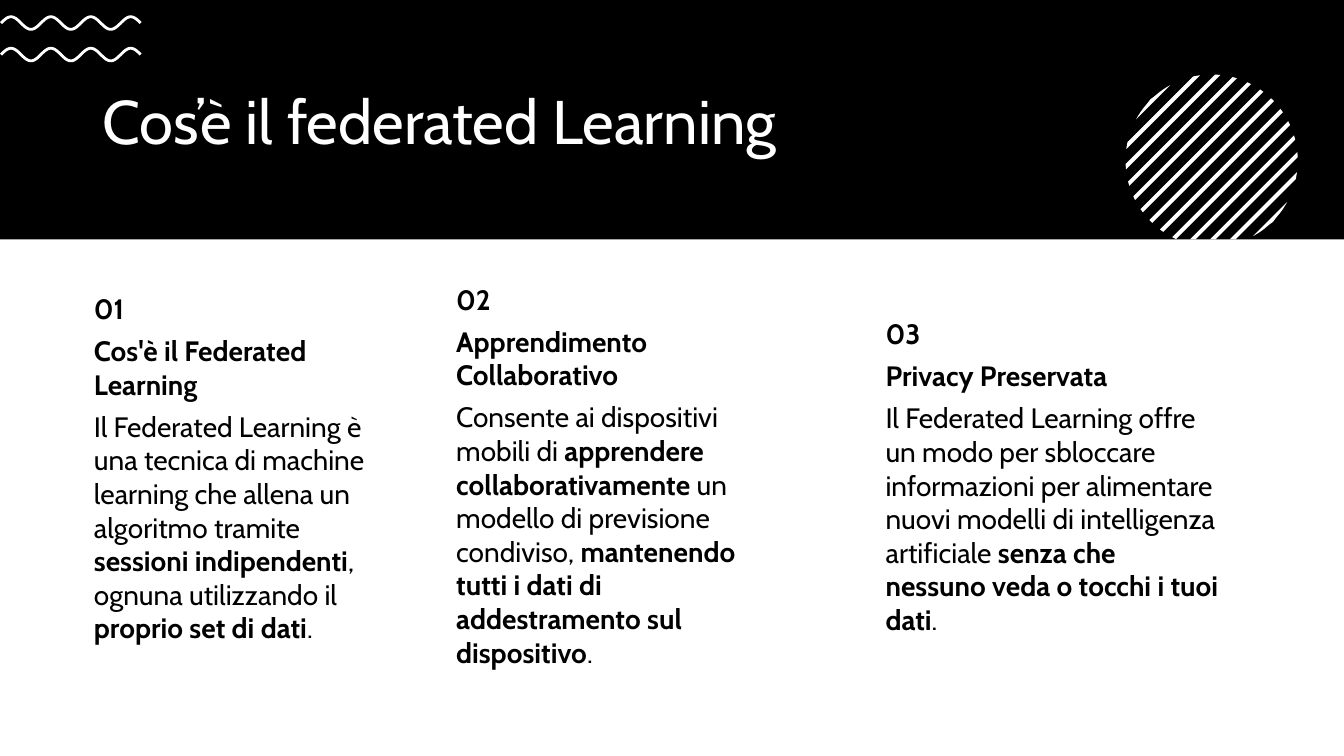
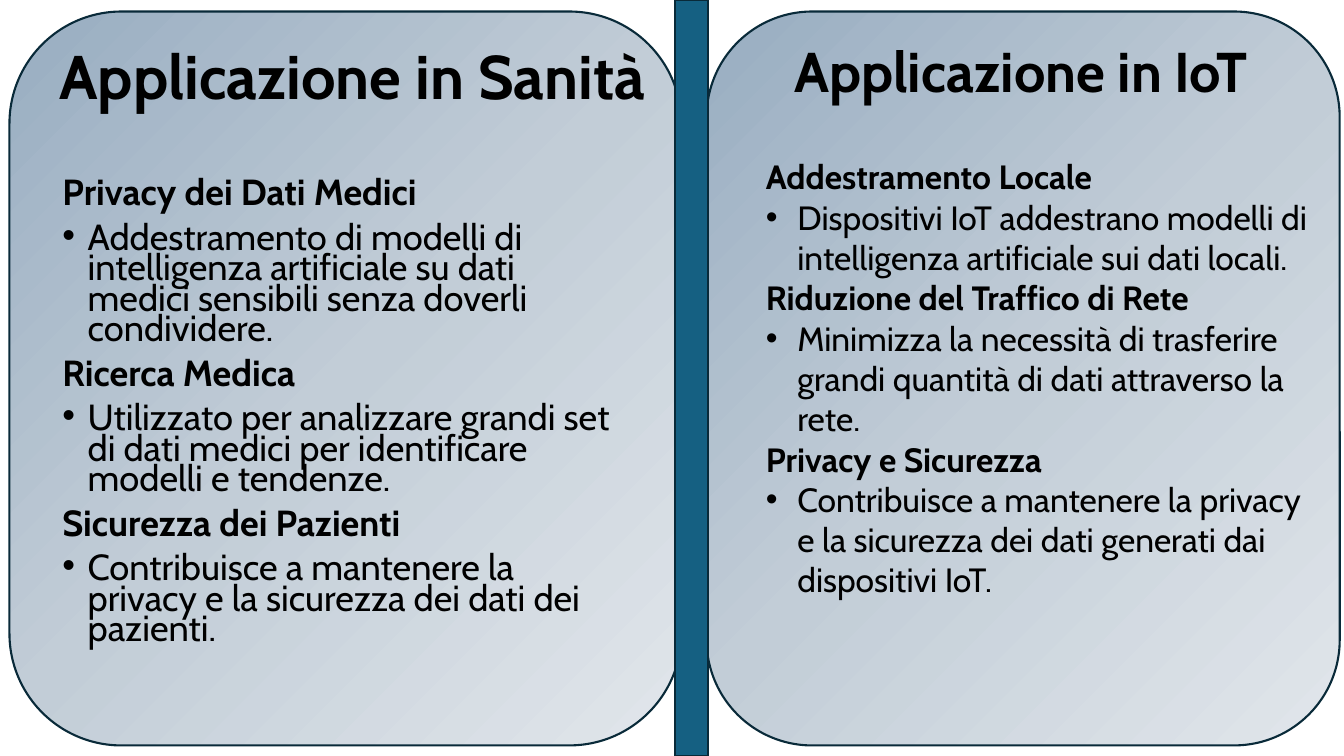
"""Build two slides on federated learning and its applications."""
import math

from lxml import etree
from pptx import Presentation
from pptx.dml.color import RGBColor
from pptx.enum.shapes import MSO_SHAPE
from pptx.enum.text import MSO_ANCHOR
from pptx.oxml import parse_xml
from pptx.oxml.ns import nsdecls, qn
from pptx.util import Emu, Pt

RECT, ROUND = MSO_SHAPE.RECTANGLE, MSO_SHAPE.ROUNDED_RECTANGLE
TOP, MIDDLE = MSO_ANCHOR.TOP, MSO_ANCHOR.MIDDLE

PX = 9525
WIDTH, HEIGHT = 1280, 720
BAND_H = 228
FONT = "Cabin"
BLACK = RGBColor(0x00, 0x00, 0x00)
WHITE = RGBColor(0xFF, 0xFF, 0xFF)
TEAL = RGBColor(0x15, 0x60, 0x82)
OUTLINE = RGBColor(0x09, 0x2A, 0x39)
PANEL_STOPS = (
    (0, RGBColor(0x98, 0xAD, 0xC1)),
    (50, RGBColor(0xC2, 0xCD, 0xD7)),
    (100, RGBColor(0xE1, 0xE6, 0xEB)),
)

COLUMNS = (
    ((80, 273, 307, 372), "01", "Cos'è il Federated Learning", (
        ("Il Federated Learning è una tecnica di machine learning che allena un algoritmo tramite ", False),
        ("sessioni indipendenti", True),
        (", ognuna utilizzando il ", False),
        ("proprio set di dati", True),
        (".", False))),
    ((425, 264, 299, 419), "02", "Apprendimento Collaborativo", (
        ("Consente ai dispositivi mobili di ", False),
        ("apprendere collaborativamente ", True),
        ("un modello di previsione condiviso, ", False),
        ("mantenendo tutti i dati di addestramento sul dispositivo", True),
        (".", False))),
    ((834, 297, 337, 354), "03", "Privacy Preservata", (
        ("Il Federated Learning offre un modo per sbloccare informazioni per alimentare "
         "nuovi modelli di intelligenza artificiale ", False),
        ("senza che nessuno veda o tocchi i tuoi dati", True),
        (".", False))),
)
HEALTH = (
    ("Privacy dei Dati Medici",
     "Addestramento di modelli di intelligenza artificiale su dati medici sensibili senza doverli condividere."),
    ("Ricerca Medica",
     "Utilizzato per analizzare grandi set di dati medici per identificare modelli e tendenze."),
    ("Sicurezza dei Pazienti",
     "Contribuisce a mantenere la privacy e la sicurezza dei dati dei pazienti."),
)
IOT = (
    ("Addestramento Locale",
     "Dispositivi IoT addestrano modelli di intelligenza artificiale sui dati locali."),
    ("Riduzione del Traffico di Rete",
     "Minimizza la necessità di trasferire grandi quantità di dati attraverso la rete."),
    ("Privacy e Sicurezza",
     "Contribuisce a mantenere la privacy e la sicurezza dei dati generati dai dispositivi IoT."),
)


def px(*values):
    """Turn pixels into EMU."""
    return [Emu(round(v * PX)) for v in values]


def add_box(s, kind, box, fill=None, line=None):
    """Add a flat preset shape."""
    sp = s.shapes.add_shape(kind, *px(*box))
    sp.shadow.inherit = False
    if fill is not None:
        sp.fill.solid()
        sp.fill.fore_color.rgb = fill
    if line is None:
        sp.line.fill.background()
    else:
        sp.line.color.rgb = line
        sp.line.width = Pt(1.5)
    return sp


def add_panel(s, box):
    """Add a rounded panel with the diagonal gradient."""
    sp = add_box(s, ROUND, box, line=OUTLINE)
    stops = "".join(f'<a:gs pos="{pos * 1000}"><a:srgbClr val="{color}"/></a:gs>'
                    for pos, color in PANEL_STOPS)
    grad = parse_xml(f'<a:gradFill {nsdecls("a")} rotWithShape="1"><a:gsLst>{stops}</a:gsLst>'
                     '<a:lin ang="2700000" scaled="0"/></a:gradFill>')
    sp.element.spPr.find(qn("a:prstGeom")).addnext(grad)


def add_outline(s, points, closed):
    """Add a freeform through points given in pixels."""
    start, *rest = [px(*point) for point in points]
    fb = s.shapes.build_freeform(*start, scale=1.0)
    fb.add_line_segments(rest, close=closed)
    sp = fb.convert_to_shape()
    sp.shadow.inherit = False
    return sp


def add_wave(s, mid_y):
    """Add a white wavy line around a height."""
    points = [(x, mid_y - 6 * math.cos(2 * math.pi * (x - 10.5) / 38)) for x in range(1, 135)]
    sp = add_outline(s, points, False)
    sp.fill.background()
    sp.line.color.rgb = WHITE
    sp.line.width = Pt(2)


def stripe_ends(cx, cy, radius, offset):
    """Return the upper and lower ends of a diagonal chord, cut at the band."""
    half = math.sqrt(max(0, radius ** 2 / 2 - offset ** 2 / 4))
    mid_x, mid_y = cx + offset / 2, cy + offset / 2
    low_y = min(mid_y + half, BAND_H)
    return (mid_x + half, mid_y - half), (mid_x + mid_y - low_y, low_y)


def add_striped_disc(s, cx, cy, radius):
    """Add a disc made of equally spaced diagonal stripes."""
    for k in range(-6, 7):
        edges = [stripe_ends(cx, cy, radius, 19 * k + 0.9 * step) for step in range(-3, 4)]
        upper, lower = zip(*edges)
        sp = add_outline(s, upper + lower[::-1], True)
        sp.fill.solid()
        sp.fill.fore_color.rgb = WHITE
        sp.line.fill.background()


def add_frame(s, box, anchor=TOP):
    """Add a wrapping text box and return its text frame."""
    tf = s.shapes.add_textbox(*px(*box)).text_frame
    tf.word_wrap = True
    tf.vertical_anchor = anchor
    return tf


def add_paragraph(tf, runs, size, color=BLACK, spacing=None, before=None, after=None, indent=0):
    """Add a paragraph of (text, bold) runs, bulleted when indented."""
    p = tf.paragraphs[0]
    if p.runs:
        p = tf.add_paragraph()
    p.line_spacing = spacing
    p.space_before = before
    p.space_after = after
    if indent:
        pPr = p._p.get_or_add_pPr()
        pPr.set("marL", str(indent * PX))
        pPr.set("indent", str(-indent * PX))
        etree.SubElement(pPr, qn("a:buFont"), typeface="Arial")
        etree.SubElement(pPr, qn("a:buChar"), char="•")
    for text, bold in runs:
        r = p.add_run()
        r.text = text
        r.font.name = FONT
        r.font.size = Pt(size)
        r.font.bold = bold
        r.font.color.rgb = color


def add_title(s, box, text, size=44, color=BLACK, bold=True):
    """Add a one-line title."""
    add_paragraph(add_frame(s, box, MIDDLE), [(text, bold)], size, color, spacing=0.9)


def add_topics(s, box, topics, size, indent, **spacing):
    """Add bold headings, each with a bulleted sentence."""
    tf = add_frame(s, box)
    for heading, sentence in topics:
        add_paragraph(tf, [(heading, True)], size, **spacing)
        add_paragraph(tf, [(sentence, False)], size, indent=indent, **spacing)


def build_definition(s):
    """Build the slide that explains federated learning."""
    add_box(s, RECT, (0, 0, WIDTH, BAND_H), BLACK)
    add_title(s, (88, 60, 1104, 118), "Cos’è il federated Learning", color=WHITE, bold=False)
    for mid_y in (22, 52):
        add_wave(s, mid_y)
    add_striped_disc(s, 1154, 153, 82)
    for box, number, heading, body in COLUMNS:
        tf = add_frame(s, box)
        for runs in ([(number, True)], [(heading, True)], body):
            add_paragraph(tf, runs, 20, after=Pt(6))


def build_applications(s):
    """Build the slide that compares the two applications."""
    add_panel(s, (673, 11, 603, 699))
    add_panel(s, (9, 11, 640, 699))
    add_title(s, (47, 38, 596, 75), "Applicazione in Sanità")
    add_topics(s, (50, 168, 552, 457), HEALTH, 25.9, 24, spacing=0.7, before=Pt(10))
    add_title(s, (747, 34, 500, 74), "Applicazione in IoT", size=40)
    add_topics(s, (720, 144, 536, 504), IOT, 24, 30)
    add_box(s, RECT, (643, 0, 31, HEIGHT), TEAL, OUTLINE)


def main():
    """Create the presentation and save it."""
    prs = Presentation()
    prs.slide_width, prs.slide_height = px(WIDTH, HEIGHT)
    for build in (build_definition, build_applications):
        build(prs.slides.add_slide(prs.slide_layouts[6]))
    prs.save("out.pptx")


if __name__ == "__main__":
    main()
